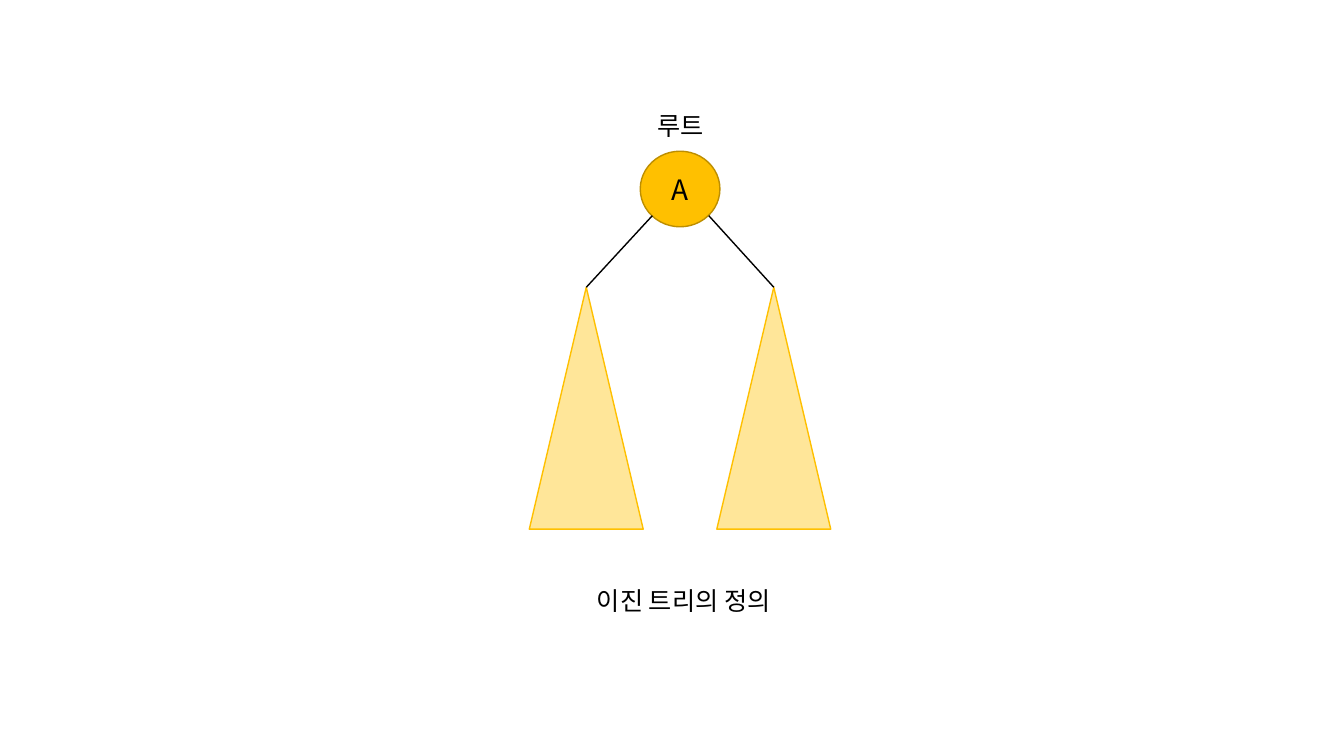
from dataclasses import dataclass

from lxml import etree
from pptx import Presentation
from pptx import util as u
from pptx.dml.color import RGBColor
from pptx.enum import shapes, text
from pptx.oxml import ns
from pptx.shapes.autoshape import Shape
from pptx.slide import Slide
from pptx.text.text import TextFrame


@dataclass(frozen=True)
class Theme:
    font: str = "Noto Sans CJK KR"
    ink: str = "000000"
    root_fill: str = "FFC000"
    root_line: str = "BD8E00"
    subtree_fill: str = "FFE699"
    subtree_line: str = "FFC000"
    line_width: float = 1
    node_size: float = 20
    label_size: float = 18


@dataclass(frozen=True)
class Box:
    left: float
    top: float
    width: float
    height: float

    def lengths(self) -> tuple[u.Length, ...]:
        return tuple(u.Inches(side) for side in (self.left, self.top, self.width, self.height))


@dataclass(frozen=True)
class Label:
    words: str
    box: Box


@dataclass(frozen=True)
class Subtree:
    box: Box
    branch_end: float


THEME = Theme()
ROOT = Box(6.35, 1.5, 0.79, 0.75)
BRANCH_BOTTOM = 2.85
BRANCH_TOP = 2.14
SUBTREES = [
    Subtree(Box(5.25, BRANCH_BOTTOM, 1.13, 2.4), 6.47),
    Subtree(Box(7.11, BRANCH_BOTTOM, 1.13, 2.4), 7.03),
]
LABELS = [
    Label("루트", Box(5.82, 1.05, 1.86, 0.4)),
    Label("이진 트리의 정의", Box(5.54, 5.76, 2.48, 0.4)),
]


def color(value: str) -> RGBColor:
    return RGBColor.from_string(value)


def write(frame: TextFrame, words: str, size: float) -> None:
    frame.word_wrap = True
    paragraph = frame.paragraphs[0]
    paragraph.alignment = text.PP_ALIGN.CENTER
    run = paragraph.add_run()
    run.text = words
    run.font.size = u.Pt(size)
    run.font.color.rgb = color(THEME.ink)
    run.font.name = THEME.font
    east_asian = etree.SubElement(run.font._element, ns.qn("a:ea"))
    east_asian.set("typeface", THEME.font)


def add_node(slide: Slide, kind: shapes.MSO_SHAPE, box: Box, fill: str, line: str) -> Shape:
    shape = slide.shapes.add_shape(kind, *box.lengths())
    shape.shadow.inherit = False
    shape.fill.solid()
    shape.fill.fore_color.rgb = color(fill)
    shape.line.color.rgb = color(line)
    shape.line.width = u.Pt(THEME.line_width)
    return shape


def add_root(slide: Slide) -> None:
    root = add_node(slide, shapes.MSO_SHAPE.FLOWCHART_CONNECTOR, ROOT, THEME.root_fill, THEME.root_line)
    root.text_frame.vertical_anchor = text.MSO_ANCHOR.MIDDLE
    write(root.text_frame, "A", THEME.node_size)


def add_subtree(slide: Slide, subtree: Subtree) -> None:
    box = subtree.box
    triangle = add_node(
        slide, shapes.MSO_SHAPE.ISOSCELES_TRIANGLE, box, THEME.subtree_fill, THEME.subtree_line
    )
    branch = slide.shapes.add_connector(
        shapes.MSO_CONNECTOR.STRAIGHT,
        u.Inches(box.left + box.width / 2),
        u.Inches(box.top),
        u.Inches(subtree.branch_end),
        u.Inches(BRANCH_TOP),
    )
    branch.begin_connect(triangle, 0)
    branch.line.color.rgb = color(THEME.ink)
    branch.line.width = u.Pt(THEME.line_width)
    etree.SubElement(branch._element.spPr, ns.qn("a:effectLst"))


def add_label(slide: Slide, label: Label) -> None:
    frame = slide.shapes.add_textbox(*label.box.lengths()).text_frame
    write(frame, label.words, THEME.label_size)
    frame.auto_size = text.MSO_AUTO_SIZE.SHAPE_TO_FIT_TEXT


def main() -> None:
    presentation = Presentation()
    presentation.slide_width = u.Inches(13.33)
    presentation.slide_height = u.Inches(7.5)
    slide = presentation.slides.add_slide(presentation.slide_layouts[6])
    add_root(slide)
    for subtree in SUBTREES:
        add_subtree(slide, subtree)
    for label in LABELS:
        add_label(slide, label)
    presentation.save("out.pptx")


if __name__ == "__main__":
    main()
